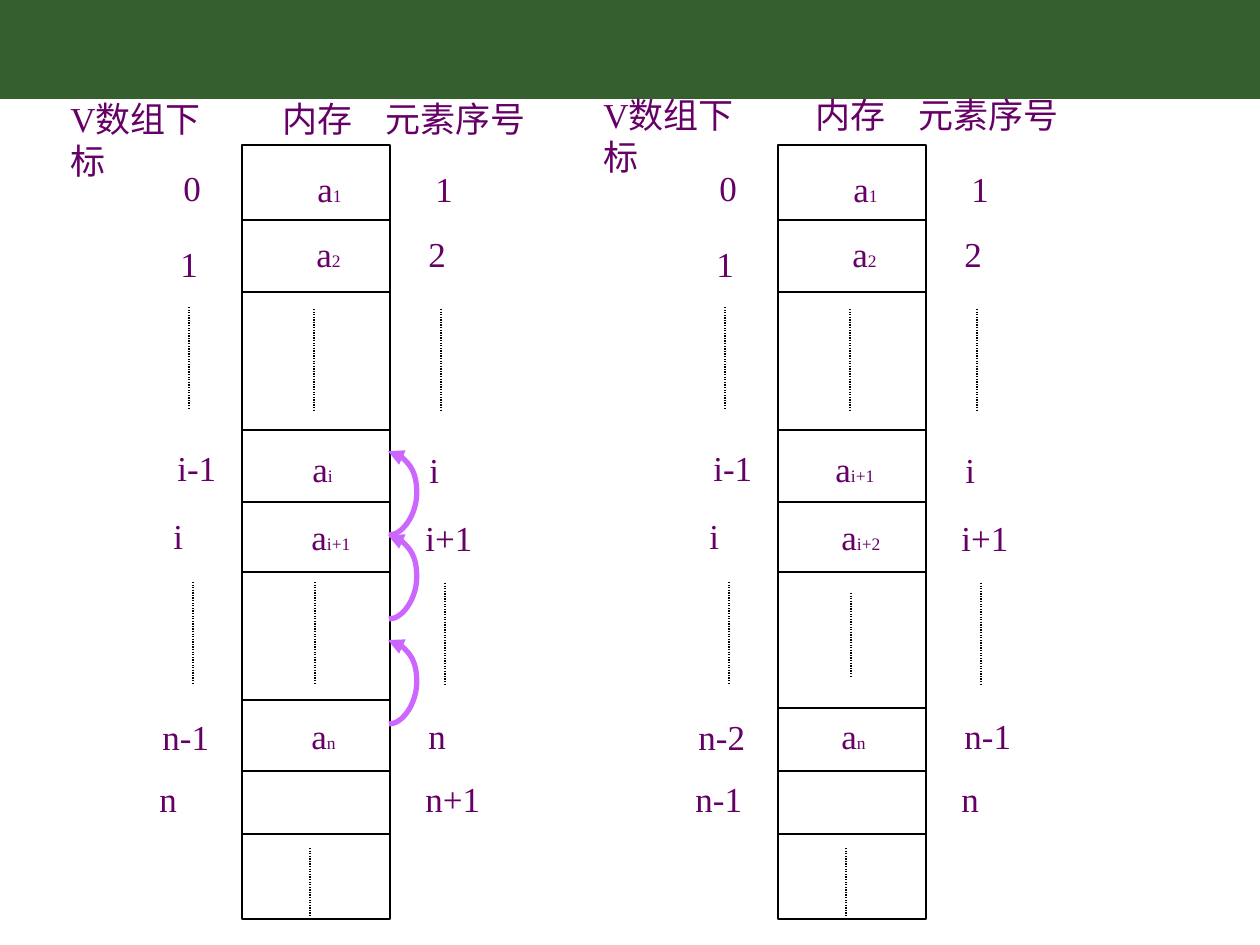
from lxml import etree
from pptx import Presentation
from pptx import util as u
from pptx.dml.color import RGBColor
from pptx.enum import dml, shapes, text
from pptx.oxml.ns import qn

COLORS = {"band": "365F2E", "text": "660066", "line": "000000", "arrow": "CC66FF"}
FONT = "Times New Roman"
LABEL_HEIGHT = 54
LABEL_WIDTHS = {
    "V数组下标": 190, "内存": 98, "元素序号": 168,
    "0": 44, "1": 44, "2": 44, "i": 36, "n": 44,
    "i-1": 66, "i+1": 74, "n-1": 74, "n-2": 74, "n+1": 82,
}
CELL_WIDTHS = {"1": 52, "2": 52, "n": 52, "i": 48, "i+1": 67, "i+2": 67}

FRAME_LEFT, FRAME_TOP, FRAME_WIDTH, FRAME_HEIGHT = 242, 145, 148, 774
HEADINGS = [("内存", 270), ("V数组下标", 58), ("元素序号", 373)]
INDEX_SPOTS = [(171, 160), (168, 236), (165, 440), (161, 508), (150, 709), (147, 771)]
ORDER_SPOTS = [(423, 161), (416, 226), (417, 442), (413, 510), (416, 708), (413, 771)]
DOTTED = [(314, 309, 411), (310, 848, 919), (189, 307, 410),
          (193, 582, 684), (441, 309, 411), (445, 583, 685)]

BEFORE = {
    "shift": 0, "heading_shift": 0, "heading_top": 91,
    "rules": [220, 292, 430, 502, 572, 700, 771, 834],
    "cells": [("1", 305, 161), ("2", 304, 226), ("i", 300, 441),
              ("i+1", 299, 509), ("n", 299, 708)],
    "gap": (315, 582, 684),
    "indexes": ["0", "1", "i-1", "i", "n-1", "n"],
    "orders": ["1", "2", "i", "i+1", "n", "n+1"],
}
AFTER = {
    "shift": 536, "heading_shift": 533, "heading_top": 87,
    "rules": [220, 292, 430, 502, 572, 708, 771, 834],
    "cells": [("1", 305, 161), ("2", 304, 226), ("i+1", 287, 441),
              ("i+2", 293, 509), ("n", 293, 708)],
    "gap": (315, 593, 677),
    "indexes": ["0", "1", "i-1", "i", "n-2", "n-1"],
    "orders": ["1", "2", "i", "i+1", "n-1", "n"],
}


def px(length):
    return u.Emu(round(length * 914400 / 126))


def color(name):
    return RGBColor.from_string(COLORS[name])


def add_label(parent, parts, left, top, width, wrap=False):
    """Add text made of (words, point size) parts."""
    box = parent.add_textbox(px(left), px(top), px(width), px(LABEL_HEIGHT))
    frame = box.text_frame
    frame.word_wrap = wrap
    frame.auto_size = text.MSO_AUTO_SIZE.SHAPE_TO_FIT_TEXT
    for words, size in parts:
        run = frame.paragraphs[0].add_run()
        run.text = words
        run.font.size = u.Pt(size)
        run.font.name = FONT
        run.font.color.rgb = color("text")


def add_rect(parent, left, top, width, height, fill=None, line=None):
    rect = parent.add_shape(shapes.MSO_SHAPE.RECTANGLE,
                            px(left), px(top), px(width), px(height))
    rect.shadow.inherit = False
    if fill:
        rect.fill.solid()
        rect.fill.fore_color.rgb = color(fill)
    else:
        rect.fill.background()
    if line:
        rect.line.color.rgb = color(line)
        rect.line.width = u.Pt(0.75)
    else:
        rect.line.fill.background()


def add_line(parent, start, end, kind=shapes.MSO_CONNECTOR.STRAIGHT,
             stroke="line", weight=0.75, dotted=False):
    line = parent.add_connector(kind, *map(px, start + end))
    line.line.color.rgb = color(stroke)
    line.line.width = u.Pt(weight)
    if dotted:
        line.line.dash_style = dml.MSO_LINE.ROUND_DOT
    etree.SubElement(line._element.spPr, qn("a:effectLst"))
    return line


def add_move_arrow(parent, top):
    """Add a curve that bulges right and points at its upper end."""
    left, height, bulge = 388, 84, 29
    arrow = add_line(parent, (left, top), (left + 1, top + height),
                     shapes.MSO_CONNECTOR.CURVE, "arrow", 3)
    properties = arrow._element.spPr
    adjustments = properties.find(qn("a:prstGeom")).get_or_add_avLst()
    etree.SubElement(adjustments, qn("a:gd"), name="adj1", fmla=f"val {bulge * 100000}")
    etree.SubElement(properties.find(qn("a:ln")), qn("a:headEnd"), type="triangle")


def add_memory(slide, state):
    """Add one memory column with its headings, indexes and element numbers."""
    group = slide.shapes.add_group_shape().shapes
    shift = state["shift"]
    left = FRAME_LEFT + shift

    for words, x in HEADINGS:
        add_label(group, [(words, 20)], x + state["heading_shift"], state["heading_top"],
                  LABEL_WIDTHS[words], wrap=words.startswith("V"))
    add_rect(group, left, FRAME_TOP, FRAME_WIDTH, FRAME_HEIGHT, line="line")
    for y in state["rules"]:
        add_line(group, (left, y), (left + FRAME_WIDTH, y))
    for x, top, bottom in DOTTED + [state["gap"]]:
        add_line(group, (x + shift, top), (x + shift, bottom), dotted=True)
    for subscript, x, y in state["cells"]:
        add_label(group, [("a", 20), (subscript, 10)], x + shift, y,
                  CELL_WIDTHS[subscript])
    for names, spots in ((state["indexes"], INDEX_SPOTS), (state["orders"], ORDER_SPOTS)):
        for name, (x, y) in zip(names, spots):
            add_label(group, [(name, 20)], x + shift, y, LABEL_WIDTHS[name])


def main():
    deck = Presentation()
    deck.slide_width, deck.slide_height = px(1260), px(945)
    slide = deck.slides.add_slide(deck.slide_layouts[6])
    add_rect(slide.shapes, 0, 0, 1260, 99, fill="band")
    for state in (BEFORE, AFTER):
        add_memory(slide, state)
    for top in (640, 451, 535):
        add_move_arrow(slide.shapes, top)
    deck.save("out.pptx")


if __name__ == "__main__":
    main()
